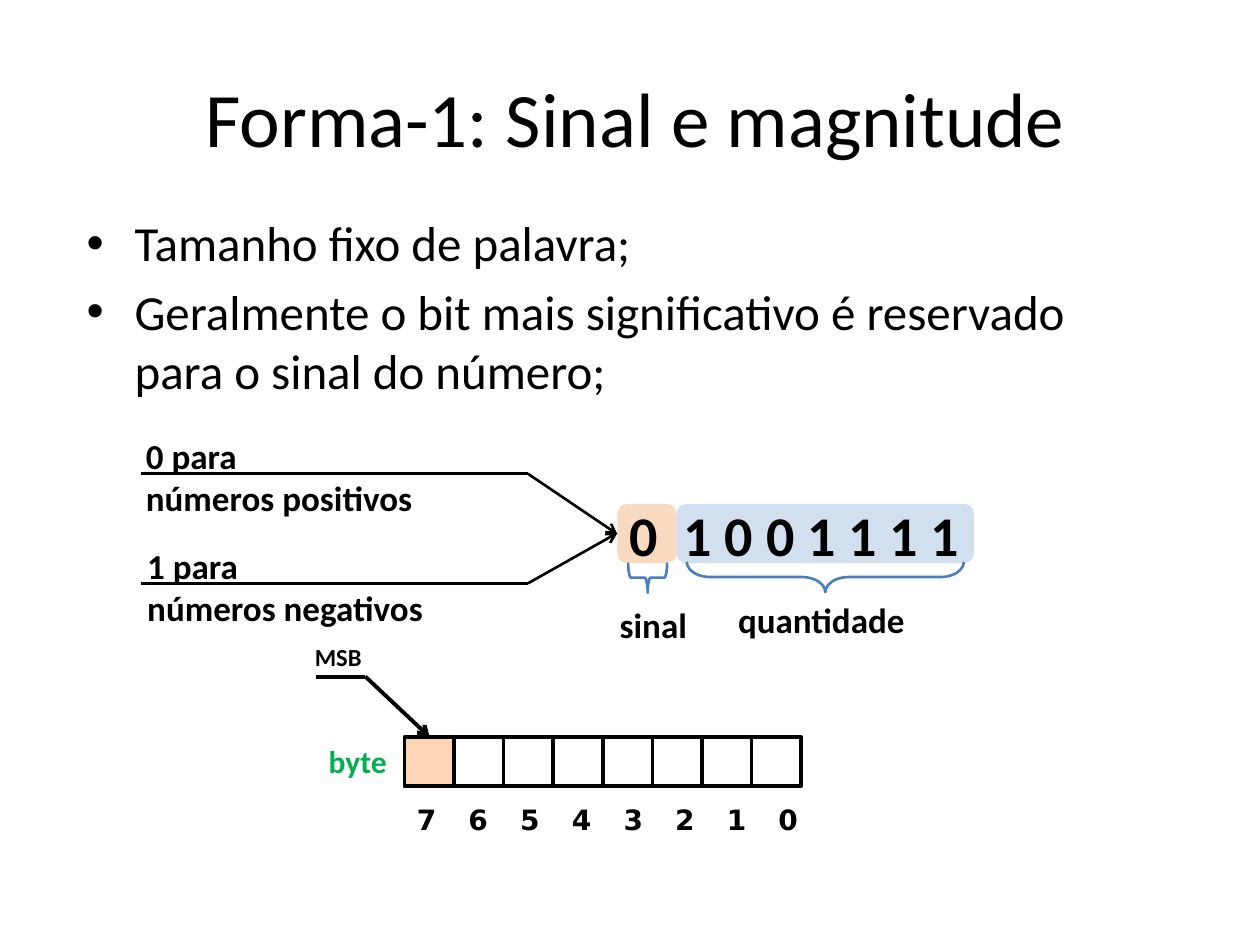
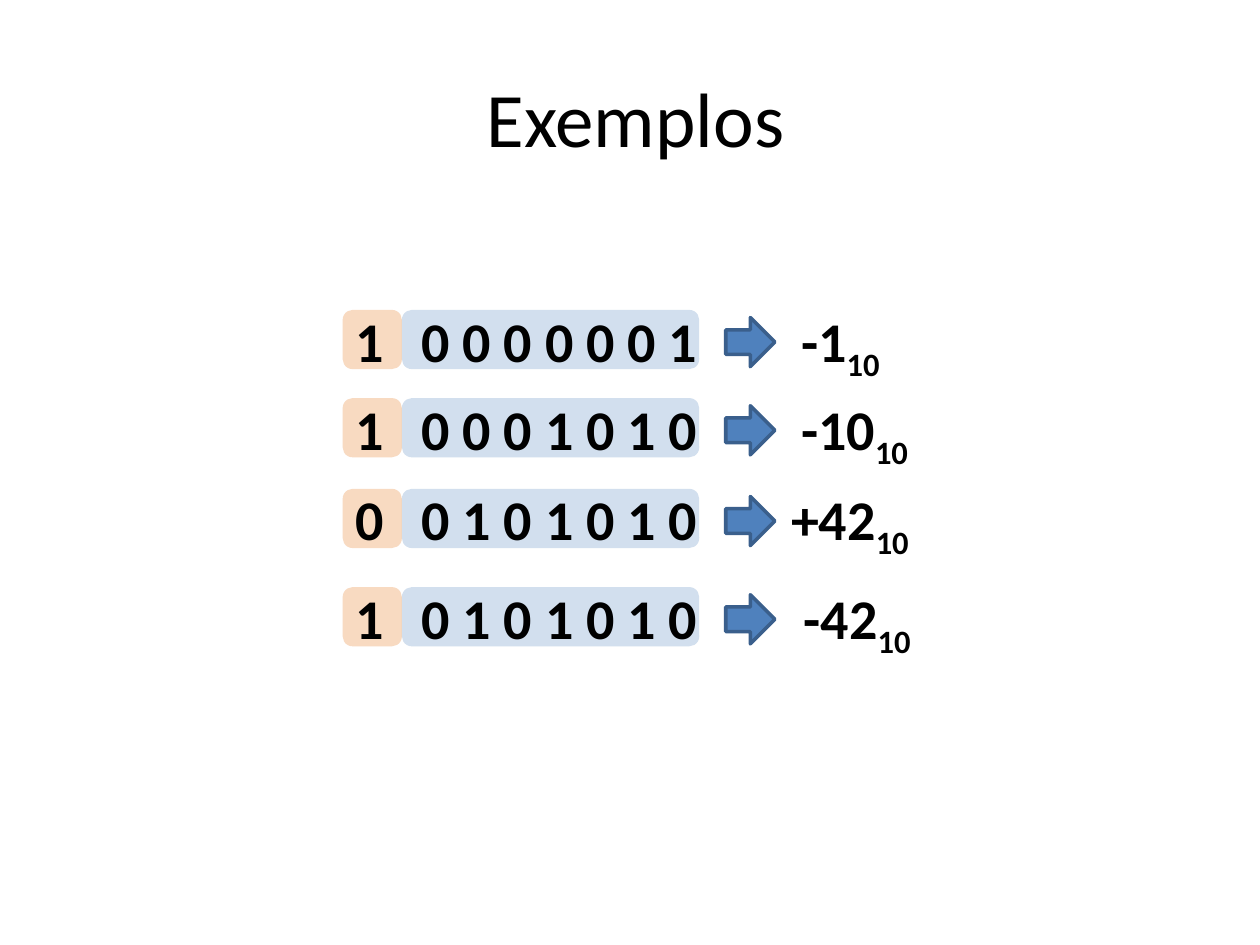
from lxml.etree import SubElement
from pptx import Presentation
from pptx.dml.color import RGBColor
from pptx.enum.shapes import MSO_CONNECTOR, MSO_SHAPE
from pptx.enum.text import MSO_ANCHOR, PP_ALIGN
from pptx.oxml.ns import qn
from pptx.util import Inches, Pt

BLACK = RGBColor(0x00, 0x00, 0x00)
GREEN = RGBColor(0x00, 0xB0, 0x50)
ORANGE = RGBColor(0xE4, 0x6C, 0x0A)
PEACH = RGBColor(0xFC, 0xD5, 0xB5)
BLUE = RGBColor(0x4F, 0x81, 0xBD)
DARK_BLUE = RGBColor(0x3A, 0x5F, 0x8C)
BRACE_BLUE = RGBColor(0x4B, 0x7E, 0xBC)
BIT_HEIGHT = 0.47


def add_text(slide, text, left, top, width, height, size=20, bold=True, color=BLACK,
             font="Calibri", align=PP_ALIGN.LEFT, anchor=MSO_ANCHOR.TOP, wrap=True,
             bullet=False, tabs=(), subscript=None):
    """Add a text box with one paragraph for each line of text."""
    box = slide.shapes.add_textbox(Inches(left), Inches(top), Inches(width), Inches(height))
    frame = box.text_frame
    frame.word_wrap = wrap
    frame.vertical_anchor = anchor
    frame.text = text
    for paragraph in frame.paragraphs:
        paragraph.alignment = align
        properties = paragraph._p.get_or_add_pPr()
        if bullet:
            paragraph.space_before = Pt(size * 0.2)
            properties.set("marL", str(Inches(0.38)))
            properties.set("indent", str(-Inches(0.38)))
            SubElement(properties, qn("a:buFont"), typeface="Arial")
            SubElement(properties, qn("a:buChar"), char="•")
        if tabs:
            tab_list = SubElement(properties, qn("a:tabLst"))
            for position in tabs:
                SubElement(tab_list, qn("a:tab"), pos=str(Inches(position)), algn="l")
        if subscript:
            run = paragraph.add_run()
            run.text = subscript
            run._r.get_or_add_rPr().set("baseline", "-25000")
        for run in paragraph.runs:
            run.font.name = font
            run.font.size = Pt(size)
            run.font.bold = bold
            run.font.color.rgb = color


def add_figure(slide, kind, left, top, width, height, fill=None, opacity=None,
               line=None, line_width=2):
    """Add a preset shape; without fill or line that part stays empty."""
    shape = slide.shapes.add_shape(kind, Inches(left), Inches(top), Inches(width), Inches(height))
    shape.shadow.inherit = False
    if fill is None:
        shape.fill.background()
    else:
        shape.fill.solid()
        shape.fill.fore_color.rgb = fill
    if opacity:
        color = shape._element.spPr.find(".//" + qn("a:srgbClr"))
        SubElement(color, qn("a:alpha"), val=str(opacity * 1000))
    if line is None:
        shape.line.fill.background()
    else:
        shape.line.color.rgb = line
        shape.line.width = Pt(line_width)
    return shape


presentation = Presentation()
presentation.slide_width = Inches(10)
presentation.slide_height = Inches(7.5)

# Titles and signed binary numbers: left, top, sign, magnitude, tab to the magnitude
pages = [
    ("Forma-1: Sinal e magnitude", [(4.9, 4, "0", "1 0 0 1 1 1 1", 0.43)]),
    ("Exemplos", [
        (2.72, 2.46, "1", "0 0 0 0 0 0 1", 0.53),
        (2.72, 3.16, "1", "0 0 0 1 0 1 0", 0.53),
        (2.72, 3.88, "0", "0 1 0 1 0 1 0", 0.53),
        (2.72, 4.66, "1", "0 1 0 1 0 1 0", 0.53),
    ]),
]
slides = []
for title, numbers in pages:
    slide = presentation.slides.add_slide(presentation.slide_layouts[6])
    slides.append(slide)
    add_text(slide, title, 0.2, 0.3, 9.69, 1.25, size=44, bold=False,
             align=PP_ALIGN.CENTER, anchor=MSO_ANCHOR.MIDDLE)
    for left, top, sign, magnitude, tab in numbers:
        add_figure(slide, MSO_SHAPE.ROUNDED_RECTANGLE, left, top, BIT_HEIGHT, BIT_HEIGHT,
                   fill=ORANGE, opacity=25)
        add_figure(slide, MSO_SHAPE.ROUNDED_RECTANGLE, left + BIT_HEIGHT, top, 2.36, BIT_HEIGHT,
                   fill=BLUE, opacity=25)
        add_text(slide, f"{sign}\t{magnitude}", left, top - 0.08, 2.91, 0.64, size=32, tabs=[tab])

# Slide 1: bullets
format_slide, examples_slide = slides
add_text(format_slide, "Tamanho fixo de palavra;\nGeralmente o bit mais significativo é "
         "reservado para o sinal do número;", 0.59, 1.64, 8.67, 2.94,
         size=28, bold=False, bullet=True)

# Slide 1: braces and labels of the number parts
for left, top, height, curve in [(5.02, 4.43, 0.31, 0.1), (6.43, 3.48, 2.2, 0.78)]:
    brace = add_figure(format_slide, MSO_SHAPE.RIGHT_BRACE, left, top, 0.24, height,
                       line=BRACE_BLUE, line_width=1.5)
    brace.rotation = 90
    brace.adjustments[0] = curve
for text, left, top, width, height in [
    ("sinal", 4.82, 4.74, 0.76, 0.44),
    ("quantidade", 5.76, 4.7, 1.54, 0.44),
    ("0 para \vnúmeros positivos", 1.06, 3.4, 2.34, 0.77),
    ("1 para \vnúmeros negativos", 1.07, 4.27, 2.41, 0.77),
]:
    add_text(format_slide, text, left, top, width, height, wrap=False)

# Slide 1: byte with numbered bits
cell_pitch = 3.15 / 8
for index in range(8):
    add_figure(format_slide, MSO_SHAPE.RECTANGLE, 3.21 + index * cell_pitch, 5.85,
               cell_pitch, 0.39, fill=PEACH if index == 0 else None, line=BLACK)
add_text(format_slide, "\t".join("76543210"), 3.21, 6.32, 3.31, 0.37, size=16,
         font="DejaVu Sans", tabs=[0.41 * step for step in range(1, 8)])
add_text(format_slide, "byte", 2.51, 5.84, 0.67, 0.4, size=18, color=GREEN, wrap=False)
add_text(format_slide, "MSB", 2.4, 5.05, 0.58, 0.34, size=14, wrap=False)

# Slide 1: leader lines, each an underline followed by an arrow
for start_x, bend_x, bend_y, tip_x, tip_y, width in [
    (1.12, 4.19, 3.76, 4.9, 4.24, 1.5),
    (1.12, 4.19, 4.63, 4.9, 4.23, 1.5),
    (2.51, 2.9, 5.37, 3.41, 5.85, 2.25),
]:
    for end_x, end_y, has_head in [(start_x, bend_y, False), (tip_x, tip_y, True)]:
        connector = format_slide.shapes.add_connector(
            MSO_CONNECTOR.STRAIGHT, Inches(bend_x), Inches(bend_y), Inches(end_x), Inches(end_y))
        connector.line.color.rgb = BLACK
        connector.line.width = Pt(width)
        if has_head:
            SubElement(connector.line._get_or_add_ln(), qn("a:tailEnd"), type="arrow")
        SubElement(connector._element.spPr, qn("a:effectLst"))

# Slide 2: arrows and decimal values
for (_, top, *_), value, left in zip(pages[1][1], ["-1", "-10", "+42", "-42"],
                                     [6.26, 6.26, 6.18, 6.28]):
    add_figure(examples_slide, MSO_SHAPE.RIGHT_ARROW, 5.76, top + 0.06, 0.39, 0.39,
               fill=BLUE, line=DARK_BLUE)
    add_text(examples_slide, value, left, top - 0.08, 1.26, 0.64, size=32, subscript="10")

presentation.save("out.pptx")
